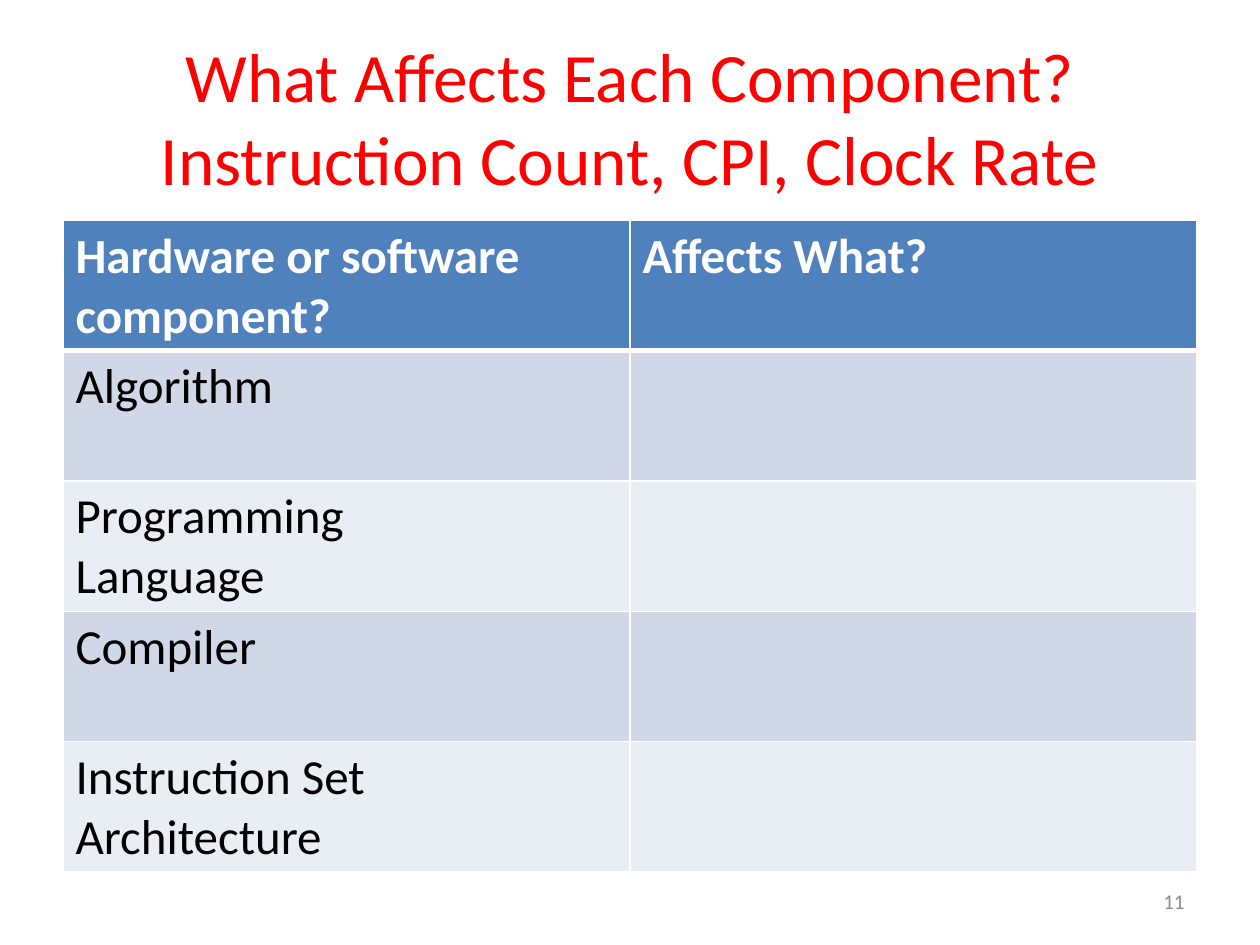
from dataclasses import dataclass

from lxml.etree import SubElement
from pptx import Presentation
from pptx.dml.color import RGBColor as Rgb
from pptx.enum.text import MSO_ANCHOR as Anchor, PP_ALIGN as Align
from pptx.oxml.ns import qn
from pptx.util import Pt


@dataclass(frozen=True)
class Theme:
    font: str = "Calibri"
    title: str = "FF0000"
    header: str = "4F81BD"
    bands: tuple[str, str] = ("D0D8E8", "E9EDF4")
    white: str = "FFFFFF"
    body: str = "000000"
    number: str = "8C8C8C"
    title_size: float = 39.6
    cell_size: float = 28
    number_size: float = 12


@dataclass(frozen=True)
class Label:
    text: str
    left: float
    top: float
    width: float
    height: float
    size: float
    color: str
    align: Align


@dataclass(frozen=True)
class Row:
    texts: tuple[str, str]
    fill: str
    color: str
    bold: bool = False
    bottom_line: float = 1


THEME = Theme()
ROW_HEIGHT = 74.4
COLUMN_WIDTH = 324

LABELS = [
    Label("What Affects Each Component? Instruction Count, CPI, Clock Rate",
          36, 21.6, 648, 90, THEME.title_size, THEME.title, Align.CENTER),
    Label("11", 516, 500.4, 168, 28.8, THEME.number_size, THEME.number, Align.RIGHT),
]
COMPONENTS = ["Algorithm", "Programming \nLanguage", "Compiler",
              "Instruction Set Architecture"]
ROWS = [Row(("Hardware or software component?", "Affects What?"),
            THEME.header, THEME.white, bold=True, bottom_line=3)]
ROWS += [Row((name, ""), THEME.bands[index % 2], THEME.body)
         for index, name in enumerate(COMPONENTS)]


def add_text(para, text: str, size: float, color: str, bold: bool = False) -> None:
    for index, line in enumerate(text.split("\n")):
        if index:
            para.add_line_break()
        span = para.add_run()
        span.text = line
        span.font.name = THEME.font
        span.font.size = Pt(size)
        span.font.bold = bold
        span.font.color.rgb = Rgb.from_string(color)


def add_label(page, label: Label) -> None:
    box = page.shapes.add_textbox(Pt(label.left), Pt(label.top),
                                  Pt(label.width), Pt(label.height))
    frame = box.text_frame
    frame.word_wrap = True
    frame.vertical_anchor = Anchor.MIDDLE
    para = frame.paragraphs[0]
    para.alignment = label.align
    add_text(para, label.text, label.size, label.color)


def add_borders(cell, top: float, bottom: float) -> None:
    properties = cell._tc.get_or_add_tcPr()
    for side, width in {"L": 1, "R": 1, "T": top, "B": bottom}.items():
        line = SubElement(properties, qn(f"a:ln{side}"), w=str(Pt(width)))
        fill = SubElement(line, qn("a:solidFill"))
        SubElement(fill, qn("a:srgbClr"), val=THEME.white)


def add_component_table(page, rows: list[Row]) -> None:
    table = page.shapes.add_table(len(rows), 2, Pt(36), Pt(126), Pt(2 * COLUMN_WIDTH),
                                  Pt(ROW_HEIGHT * len(rows))).table
    for column in table.columns:
        column.width = Pt(COLUMN_WIDTH)
    top_line = 1
    for table_row, row in zip(table.rows, rows):
        table_row.height = Pt(ROW_HEIGHT)
        for cell, text in zip(table_row.cells, row.texts):
            add_borders(cell, top_line, row.bottom_line)
            cell.fill.solid()
            cell.fill.fore_color.rgb = Rgb.from_string(row.fill)
            if text:
                add_text(cell.text_frame.paragraphs[0], text,
                         THEME.cell_size, row.color, row.bold)
        top_line = row.bottom_line


def main() -> None:
    deck = Presentation()
    deck.slide_width, deck.slide_height = Pt(720), Pt(540)
    page = deck.slides.add_slide(deck.slide_layouts[6])

    # Title and slide number
    for label in LABELS:
        add_label(page, label)

    # Components and what they affect
    add_component_table(page, ROWS)

    deck.save("out.pptx")


if __name__ == "__main__":
    main()
